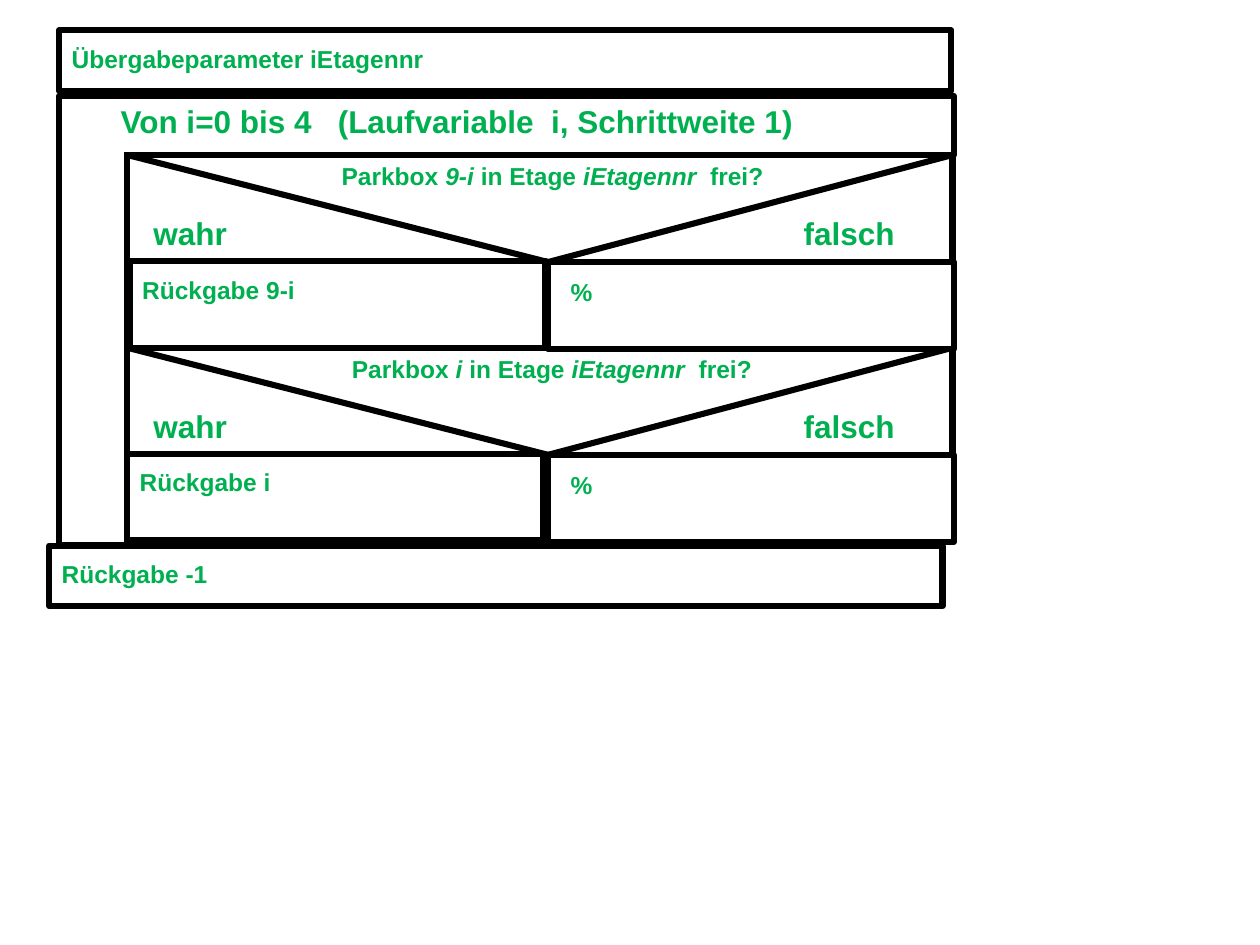
"""Build a structure chart slide for a parking box search."""
from dataclasses import dataclass

from lxml.etree import SubElement
from pptx import Presentation
from pptx.dml.color import RGBColor
from pptx.enum.shapes import MSO_CONNECTOR, MSO_SHAPE
from pptx.enum.text import MSO_AUTO_SIZE, PP_ALIGN
from pptx.oxml.ns import qn
from pptx.util import Inches, Pt


@dataclass(frozen=True)
class Theme:
    font: str = "Arial"
    text: RGBColor = RGBColor(0x00, 0xB0, 0x50)
    line: RGBColor = RGBColor(0, 0, 0)
    paper: RGBColor = RGBColor(255, 255, 255)
    line_width: float = 3.49
    large: int = 18
    small: int = 14


THEME = Theme()
LOOP_TEXT = "Von i=0 bis 4   (Laufvariable  i, Schrittweite 1)"
LOOP_LEFT, LOOP_TOP, LOOP_BOTTOM = 0.47, 0.76, 4.33
BODY_LEFT, BODY_MIDDLE, BODY_RIGHT = 1.01, 4.35, 7.56
CONDITION_HEIGHT, BRANCH_HEIGHT = 0.85, 0.69
BRANCH_LABELS = [("wahr", 1.12), ("falsch", 6.28)]
STATEMENTS = [
    ("Übergabeparameter iEtagennr", LOOP_LEFT, 0.24, 7.08),
    ("Rückgabe -1", 0.39, LOOP_BOTTOM, 7.09),
]
DECISIONS = [
    {"box": "i", "top": 2.76, "left": BODY_LEFT, "branch_top": 3.6,
     "question": (2.69, 3.38)},
    {"box": "9-i", "top": 1.23, "left": 1.03, "branch_top": 2.07,
     "question": (2.61, 3.55)},
]


def add_box(group, left, top, width, height, line=THEME.line):
    shape = group.shapes.add_shape(
        MSO_SHAPE.RECTANGLE, Inches(left), Inches(top), Inches(width), Inches(height))
    shape.shadow.inherit = False
    shape.fill.solid()
    shape.fill.fore_color.rgb = THEME.paper
    shape.line.color.rgb = line
    shape.line.width = Pt(THEME.line_width)


def add_label(group, runs, left, top, width, size=THEME.small, wrap=True,
              align=PP_ALIGN.LEFT):
    height = 0.4 if size == THEME.large else 0.33
    shape = group.shapes.add_textbox(
        Inches(left), Inches(top), Inches(width), Inches(height))
    frame = shape.text_frame
    frame.word_wrap = wrap
    frame.auto_size = MSO_AUTO_SIZE.SHAPE_TO_FIT_TEXT
    paragraph = frame.paragraphs[0]
    paragraph.alignment = align
    for text, italic in runs:
        run = paragraph.add_run()
        run.text = text
        font = run.font
        font.name, font.size = THEME.font, Pt(size)
        font.bold, font.italic = True, italic
        font.color.rgb = THEME.text


def add_line(group, start, end):
    points = [Inches(value) for value in (*start, *end)]
    connector = group.shapes.add_connector(MSO_CONNECTOR.STRAIGHT, *points)
    connector.line.color.rgb = THEME.line
    connector.line.width = Pt(THEME.line_width)
    SubElement(connector.element.spPr, qn("a:effectLst"))


def add_loop(group):
    body_top = LOOP_TOP + 0.47
    add_box(group, LOOP_LEFT, LOOP_TOP, 7.1, 0.47)
    add_box(group, LOOP_LEFT, body_top, BODY_LEFT - LOOP_LEFT, LOOP_BOTTOM - body_top)
    add_box(group, 0.52, 1.15, 0.44, 0.24, line=THEME.paper)
    add_label(group, [(LOOP_TEXT, False)], 0.86, LOOP_TOP, 7, THEME.large)


def add_condition(group, decision):
    top = decision["top"]
    bottom = top + CONDITION_HEIGHT
    question_left, question_width = decision["question"]
    question = [("Parkbox ", False), (decision["box"], True), (" in Etage ", False),
                ("iEtagennr", True), ("  frei?", False)]
    add_box(group, BODY_LEFT, top, BODY_RIGHT - BODY_LEFT, CONDITION_HEIGHT)
    add_label(group, question, question_left, top, question_width,
              wrap=False, align=PP_ALIGN.CENTER)
    for text, left in BRANCH_LABELS:
        add_label(group, [(text, False)], left, top + 0.42, 1.1, THEME.large)
    for corner in (BODY_LEFT, BODY_RIGHT):
        add_line(group, (corner, top), (BODY_MIDDLE, bottom))


def add_statement(group, text, left, top, width, height, indent=0.0, drop=0.06):
    add_box(group, left, top, width, height)
    add_label(group, [(text, False)], left + indent, top + drop, width - indent)


presentation = Presentation()
presentation.slide_width, presentation.slide_height = Inches(10), Inches(7.5)
slide = presentation.slides.add_slide(presentation.slide_layouts[6])
new_group = slide.shapes.add_group_shape

add_loop(new_group())
for statement in STATEMENTS:
    add_statement(new_group(), *statement, 0.48)
for decision in DECISIONS:
    add_condition(new_group(), decision)
    add_statement(new_group(), f"Rückgabe {decision['box']}", decision["left"],
                  decision["branch_top"], 3.3, BRANCH_HEIGHT)
    add_statement(new_group(), "%", BODY_MIDDLE, decision["top"] + CONDITION_HEIGHT,
                  3.22, BRANCH_HEIGHT, indent=0.08, drop=0.07)

presentation.save("out.pptx")
